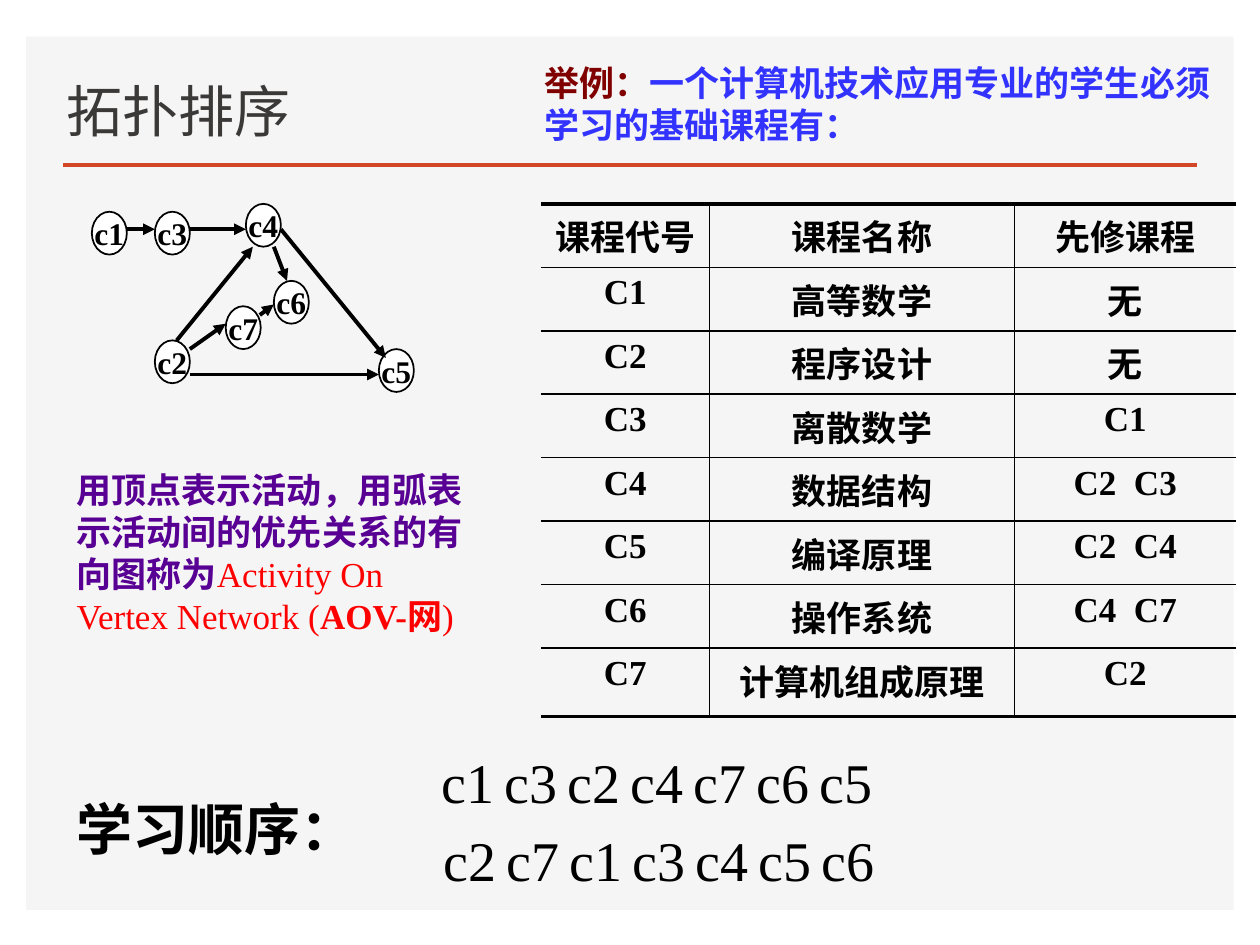
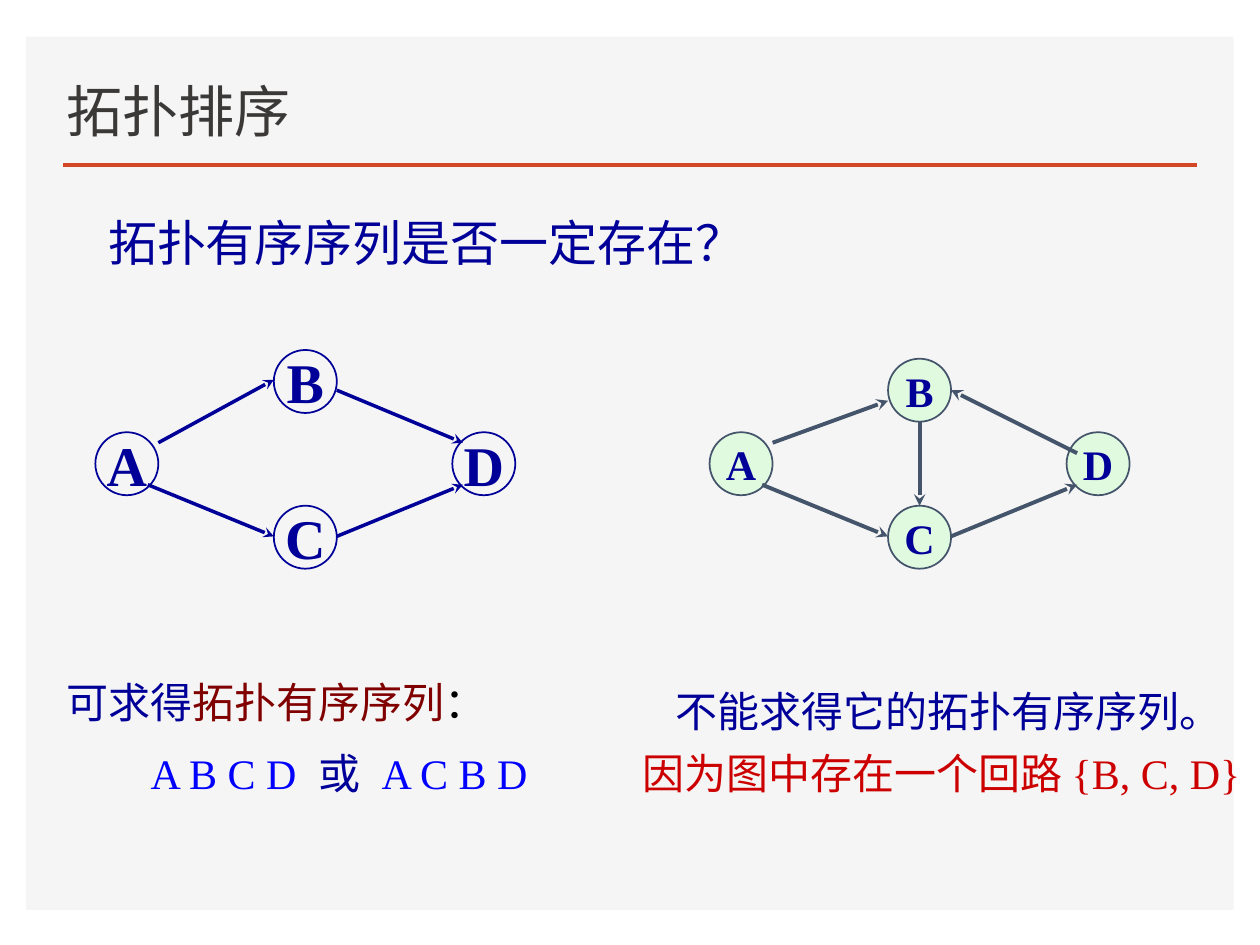
import pptx
import pptx.dml.color
import pptx.enum.shapes
import pptx.enum.text
import pptx.oxml
import pptx.oxml.ns
import pptx.util
from lxml import etree

Pt = pptx.util.Pt
RGBColor = pptx.dml.color.RGBColor
qn = pptx.oxml.ns.qn
PP_ALIGN = pptx.enum.text.PP_ALIGN
MSO_ANCHOR = pptx.enum.text.MSO_ANCHOR
MSO_SHAPE = pptx.enum.shapes.MSO_SHAPE
STRAIGHT = pptx.enum.shapes.MSO_CONNECTOR.STRAIGHT

PANEL = RGBColor(0xF5, 0xF5, 0xF5)
ACCENT = RGBColor(0xD2, 0x47, 0x26)
TITLE = RGBColor(0x3B, 0x38, 0x38)
BLACK = RGBColor(0x00, 0x00, 0x00)
WHITE = RGBColor(0xFF, 0xFF, 0xFF)
PURPLE = RGBColor(0x58, 0x00, 0x94)
RED = RGBColor(0xFF, 0x00, 0x00)
DARK_RED = RGBColor(0xCC, 0x00, 0x00)
MAROON = RGBColor(0x80, 0x00, 0x00)
BRIGHT_BLUE = RGBColor(0x33, 0x33, 0xFF)
BLUE = RGBColor(0x00, 0x00, 0xFF)
NAVY = RGBColor(0x00, 0x00, 0x99)
SLATE = RGBColor(0x44, 0x54, 0x6A)
MINT = RGBColor(0xCC, 0xFF, 0xCC)
SERIF = "Times New Roman"
SANS = "Karla"


def write(frame, paragraphs, size, name=SERIF, align=PP_ALIGN.LEFT, wrap=True, tabs=(), indent=0):
    """Fill a frame with paragraphs of (text, colour, bold) runs; tabs and indent go to the last."""
    frame.word_wrap = wrap
    for index, runs in enumerate(paragraphs):
        paragraph = frame.add_paragraph() if index else frame.paragraphs[0]
        paragraph.alignment = align
        if index:
            paragraph.space_before = Pt(size / 2)
        for text, colour, bold in runs:
            run = paragraph.add_run()
            run.text = text
            run.font.color.rgb = colour
            run.font.bold = bold
        for font in [paragraph.font] + [run.font for run in paragraph.runs]:
            font.name, font.size = name, Pt(size)
    if tabs:
        properties = paragraph._p.get_or_add_pPr()
        properties.set("marL", "0")
        properties.set("indent", str(Pt(indent)))
        tab_list = etree.Element(qn("a:tabLst"))
        for stop in tabs:
            etree.SubElement(tab_list, qn("a:tab"), pos=str(Pt(stop)), algn="l")
        properties.find(qn("a:defRPr")).addprevious(tab_list)


def draw_graph(slide, nodes, arcs, node_size, label_size, label_colour, line_colour,
               arc_width, arrowhead, fill=None, opacity=100, shift=0):
    """Draw a directed graph of labelled ellipses and arrows as one group."""
    graph = slide.shapes.add_group_shape().shapes
    for label, (left, top) in nodes.items():
        node = graph.add_shape(MSO_SHAPE.OVAL, Pt(left + shift), Pt(top), *map(Pt, node_size))
        node.shadow.inherit = False
        node.line.color.rgb = line_colour
        node.line.width = Pt(1)
        if fill is None:
            node.fill.background()
        else:
            node.fill.solid()
            node.fill.fore_color.rgb = fill
            if opacity < 100:
                tint = node.element.spPr.find(qn("a:solidFill")).find(qn("a:srgbClr"))
                etree.SubElement(tint, qn("a:alpha"), val=str(opacity * 1000))
        node.text_frame.vertical_anchor = MSO_ANCHOR.MIDDLE
        write(node.text_frame, [[(label, label_colour, True)]], label_size,
              align=PP_ALIGN.CENTER, wrap=False)
    for x1, y1, x2, y2 in arcs:
        arc = graph.add_connector(STRAIGHT, Pt(x1 + shift), Pt(y1), Pt(x2 + shift), Pt(y2))
        arc.line.color.rgb = line_colour
        arc.line.width = Pt(arc_width)
        etree.SubElement(arc.line._get_or_add_ln(), qn("a:tailEnd"), type=arrowhead)
        etree.SubElement(arc.element.spPr, qn("a:effectLst"))


deck = pptx.Presentation()
deck.slide_width, deck.slide_height = Pt(720), Pt(540)
layout = deck.slide_layouts[5]
courses_slide, existence_slide = [deck.slides.add_slide(layout) for _ in range(2)]

# Panel and rule belong to the layout, behind everything else
panel = courses_slide.shapes.add_shape(MSO_SHAPE.RECTANGLE, Pt(15), Pt(21), Pt(690), Pt(499))
panel.shadow.inherit = False
panel.fill.solid()
panel.fill.fore_color.rgb = PANEL
panel.line.fill.background()
rule = courses_slide.shapes.add_connector(STRAIGHT, Pt(36), Pt(94.3), Pt(684), Pt(94.3))
rule.line.color.rgb = ACCENT
rule.line.width = Pt(2)
etree.SubElement(rule.element.spPr, qn("a:effectLst"))
for position, backdrop in enumerate((panel, rule), start=2):
    layout.shapes.element.insert(position, backdrop.element)

for slide in (courses_slide, existence_slide):
    title = slide.shapes.title
    title.left, title.top, title.width, title.height = Pt(31), Pt(35.3), Pt(406), Pt(50.4)
    title.text_frame.vertical_anchor = MSO_ANCHOR.BOTTOM
    write(title.text_frame, [[("拓扑排序", TITLE, False)]], 32, SANS)

# Slide 1: course table
courses = [
    ("课程代号", "课程名称", "先修课程"),
    ("C1", "高等数学", "无"),
    ("C2", "程序设计", "无"),
    ("C3", "离散数学", "C1"),
    ("C4", "数据结构", "C2  C3"),
    ("C5", "编译原理", "C2  C4"),
    ("C6", "操作系统", "C4  C7"),
    ("C7", "计算机组成原理", "C2"),
]
last_row, last_column = len(courses) - 1, len(courses[0]) - 1
table = courses_slide.shapes.add_table(
    len(courses), len(courses[0]), Pt(309), Pt(116.5), Pt(397.4), Pt(291)).table
table.first_row = table.horz_banding = False
for column, width in zip(table.columns, (96.5, 174.2, 126.7)):
    column.width = Pt(width)
for r, course in enumerate(courses):
    table.rows[r].height = Pt(39 if r == last_row else 36)
    for c, entry in enumerate(course):
        cell = table.cell(r, c)
        write(cell.text_frame, [[(entry, BLACK, True)]], 20, align=PP_ALIGN.CENTER)
        borders = {
            "a:lnL": 1 if c > 0 else 0,
            "a:lnR": 1 if c < last_column else 0,
            "a:lnT": 1 if r > 0 else 2.25,
            "a:lnB": 1 if r < last_row else 2.25,
        }
        properties = cell._tc.get_or_add_tcPr()
        for edge, weight in borders.items():
            border = etree.SubElement(properties, qn(edge), w=str(Pt(weight)))
            if weight:
                ink = etree.SubElement(border, qn("a:solidFill"))
                etree.SubElement(ink, qn("a:srgbClr"), val=str(BLACK))
            else:
                etree.SubElement(border, qn("a:noFill"))
        cell.fill.background()

# Slide 1: course graph
course_nodes = {
    "c1": (52.5, 121), "c3": (88.5, 121), "c4": (140.5, 116.5), "c2": (88.5, 194.5),
    "c7": (129, 175), "c6": (156.5, 160.5), "c5": (216.5, 199.5),
}
course_arcs = [
    (72.5, 131, 88.5, 131), (108.5, 131, 140.5, 131), (101, 194.5, 144.5, 141),
    (108.5, 199.5, 129, 185), (148.5, 180, 156.5, 174), (108.5, 214, 216.5, 214),
    (156.5, 141, 164, 160.5), (160.5, 131, 220.5, 204.5),
]
draw_graph(courses_slide, course_nodes, course_arcs, (20, 24.5), 18, BLACK, BLACK,
           2.25, "triangle", fill=WHITE)

# Slide 1: study orders and captions
study_orders = [
    (245.5, 423.4, "c1 c3 c2 c4 c7 c6 c5", (54.2, 108.5, 178.9, 233, 279.3, 325.5)),
    (246.5, 468, "c2 c7 c1 c3 c4 c5 c6", (54.2, 108.5, 162.7, 225, 279.3, 325.5)),
]
for left, top, order, stops in study_orders:
    box = courses_slide.shapes.add_textbox(Pt(left), Pt(top), Pt(432), Pt(45.4))
    write(box.text_frame, [[(order.replace(" ", "\t"), BLACK, False)]], 32, tabs=stops)

captions = [
    ((36.7, 264.2, 238.3, 104.4), 20, SERIF, [
        ("用顶点表示活动，用弧表示活动间的优先关系的有向图称为", PURPLE, True),
        ("Activity On Vertex Network (", RED, False),
        ("AOV-网", RED, True),
        (")", RED, False)]),
    ((36.7, 450.7, 193, 45.4), 32, SERIF, [("学习顺序：", BLACK, True)]),
    ((303.8, 31.7, 402.5, 55.4), 20, SANS, [
        ("举例：", MAROON, True),
        ("一个计算机技术应用专业的学生必须学习的基础课程有：", BRIGHT_BLUE, True)]),
]
for place, size, name, runs in captions:
    box = courses_slide.shapes.add_textbox(*map(Pt, place))
    write(box.text_frame, [runs], size, name)

# Slide 2: a graph without a cycle and one with a cycle
shared_arcs = [(84.5, 277, 156.5, 306.5), (192.5, 306.5, 264.5, 277)]
acyclic_nodes = {"B": (156.5, 200), "D": (258.5, 247), "A": (54.5, 247), "C": (156.5, 289)}
acyclic_arcs = shared_arcs + [(90.5, 253, 156.5, 217), (192.5, 223, 264.5, 253)]
draw_graph(existence_slide, acyclic_nodes, acyclic_arcs, (36, 36), 32, NAVY, NAVY, 2, "stealth")

cyclic_nodes = {**acyclic_nodes, "B": (156.5, 205)}
cyclic_arcs = shared_arcs + [
    (90.5, 253, 156.5, 229), (264.5, 259, 192.5, 223), (174.5, 241, 174.5, 289)]
draw_graph(existence_slide, cyclic_nodes, cyclic_arcs, (36, 36), 24, NAVY, SLATE,
           2.25, "stealth", fill=MINT, opacity=50, shift=351)

# Slide 2: question and answers
remarks = [
    ((54.7, 118, 382.3, 41), 28, [("拓扑有序序列是否一定存在？", NAVY, False)]),
    ((378.7, 388, 340, 36), 24, [("不能求得它的拓扑有序序列。", NAVY, False)]),
    ((360, 423.4, 360, 65), 24, [("因为图中存在一个回路 {B, C, D}", DARK_RED, False)]),
]
for place, size, runs in remarks:
    box = existence_slide.shapes.add_textbox(*map(Pt, place))
    write(box.text_frame, [runs], size)

sequences = existence_slide.shapes.add_textbox(Pt(31), Pt(383), Pt(309), Pt(80))
write(sequences.text_frame, [
    [("可求得", NAVY, False), ("拓扑有序序列", MAROON, False), ("：", BLACK, False)],
    [("A B C D\t", BLUE, False), ("或\t", NAVY, False), ("A C B D", BLUE, False)],
], 24, tabs=(162, 212), indent=48)

deck.save("out.pptx")
